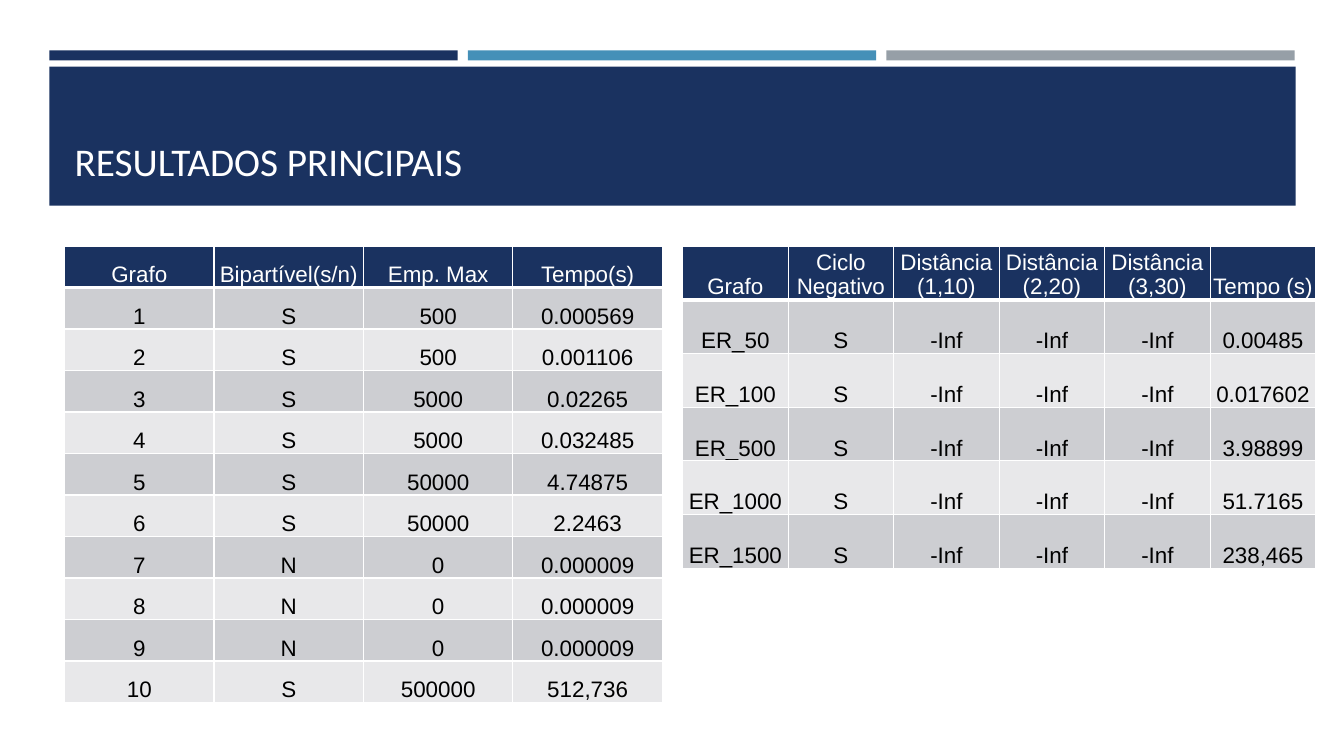
"""Build the "Resultados principais" slide with its two result tables."""
from dataclasses import dataclass

import pptx
import pptx.dml.color
import pptx.enum.shapes
import pptx.enum.text
import pptx.oxml
import pptx.oxml.ns
import pptx.presentation
import pptx.slide
import pptx.table
import pptx.text.text
import pptx.util

Inches = pptx.util.Inches
Align = pptx.enum.text.PP_ALIGN
Anchor = pptx.enum.text.MSO_ANCHOR

COLORS = {
    "navy": "1A3260",
    "blue": "4590B8",
    "gray": "969FA7",
    "odd_row": "CDCED2",
    "even_row": "E8E8EA",
    "white": "FFFFFF",
    "black": "000000",
}


@dataclass(frozen=True)
class Bar:
    left: float
    top: float
    width: float
    height: float
    color: str


@dataclass(frozen=True)
class ResultTable:
    left: float
    width: float
    height: float
    rows: list[list[str]]


BAND = Bar(0.49, 0.66, 12.36, 1.38, "navy")
STRIPE_WIDTH, STRIPE_STEP = 4.05, 4.15
STRIPES = [
    Bar(BAND.left + index * STRIPE_STEP, 0.5, STRIPE_WIDTH, 0.1, color)
    for index, color in enumerate(["navy", "blue", "gray"])
]

TABLE_TOP = 2.44
BIPARTITE = ResultTable(0.64, 5.93, 4.53, [
    ["Grafo", "Bipartível(s/n)", "Emp. Max", "Tempo(s)"],
    ["1", "S", "500", "0.000569"],
    ["2", "S", "500", "0.001106"],
    ["3", "S", "5000", "0.02265"],
    ["4", "S", "5000", "0.032485"],
    ["5", "S", "50000", "4.74875"],
    ["6", "S", "50000", "2.2463"],
    ["7", "N", "0", "0.000009"],
    ["8", "N", "0", "0.000009"],
    ["9", "N", "0", "0.000009"],
    ["10", "S", "500000", "512,736"],
])
DISTANCE_TIMES = {
    "ER_50": "0.00485",
    "ER_100": "0.017602",
    "ER_500": "3.98899",
    "ER_1000": "51.7165",
    "ER_1500": "238,465",
}
DISTANCES = ResultTable(6.77, 6.28, 3.2, [
    ["Grafo", "Ciclo Negativo", "Distância\n(1,10)", "Distância\n(2,20)",
     "Distância\n(3,30)", "Tempo (s)"],
    *([graph, "S", *["-Inf"] * 3, time] for graph, time in DISTANCE_TIMES.items()),
])


def rgb(name: str) -> pptx.dml.color.RGBColor:
    """Return the named colour."""
    return pptx.dml.color.RGBColor.from_string(COLORS[name])


def write_text(frame: pptx.text.text.TextFrame, text: str, *, font: str, size: int,
               color: str, align: Align) -> None:
    """Write text in a frame, one paragraph per line, with one format."""
    frame.text = text
    for paragraph in frame.paragraphs:
        paragraph.alignment = align
        for run in paragraph.runs:
            run.font.name = font
            run.font.size = pptx.util.Pt(size)
            run.font.color.rgb = rgb(color)


def draw_bar(slide: pptx.slide.Slide, bar: Bar) -> None:
    """Draw a plain filled rectangle."""
    shape = slide.shapes.add_shape(
        pptx.enum.shapes.MSO_SHAPE.RECTANGLE,
        Inches(bar.left), Inches(bar.top), Inches(bar.width), Inches(bar.height))
    shape.shadow.inherit = False
    shape.fill.solid()
    shape.fill.fore_color.rgb = rgb(bar.color)
    shape.line.fill.background()


def set_borders(cell: pptx.table._Cell, widths: dict[str, int]) -> None:
    """Give a cell white borders, with widths in points by side."""
    properties = cell._tc.get_or_add_tcPr()
    for side, width in widths.items():
        properties.append(pptx.oxml.parse_xml(
            f'<a:ln{side} {pptx.oxml.ns.nsdecls("a")} w="{pptx.util.Pt(width)}">'
            f'<a:solidFill><a:srgbClr val="{COLORS["white"]}"/></a:solidFill>'
            f'</a:ln{side}>'))


def format_cell(cell: pptx.table._Cell, text: str, row_index: int) -> None:
    """Fill in a cell as part of the header or of a banded row."""
    is_header = row_index == 0
    set_borders(cell, {"L": 1, "R": 1, "T": 3 if row_index == 1 else 1,
                       "B": 3 if is_header else 1})
    cell.fill.solid()
    band = "odd_row" if row_index % 2 else "even_row"
    cell.fill.fore_color.rgb = rgb("navy" if is_header else band)
    cell.margin_left = cell.margin_right = cell.margin_top = Inches(0.01)
    cell.margin_bottom = 0
    cell.vertical_anchor = Anchor.BOTTOM
    write_text(cell.text_frame, text, font="Arial", size=16,
               color="white" if is_header else "black", align=Align.CENTER)


def draw_table(slide: pptx.slide.Slide, result: ResultTable) -> None:
    """Draw a result table with equal columns and equal rows."""
    row_count, column_count = len(result.rows), len(result.rows[0])
    table = slide.shapes.add_table(
        row_count, column_count, Inches(result.left), Inches(TABLE_TOP),
        Inches(result.width), Inches(result.height)).table
    for column in table.columns:
        column.width = Inches(result.width / column_count)
    for row_index, values in enumerate(result.rows):
        table.rows[row_index].height = Inches(result.height / row_count)
        for column_index, text in enumerate(values):
            format_cell(table.cell(row_index, column_index), text, row_index)


def draw_title(slide: pptx.slide.Slide, text: str) -> None:
    """Place the title placeholder in front of the band."""
    title = slide.shapes.title
    title.left, title.top = Inches(0.64), Inches(0.8)
    title.width, title.height = Inches(12.06), Inches(1.08)
    frame = title.text_frame
    frame.auto_size = pptx.enum.text.MSO_AUTO_SIZE.NONE
    frame.word_wrap = True
    frame.vertical_anchor = Anchor.BOTTOM
    write_text(frame, text, font="Calibri", size=28, color="white", align=Align.LEFT)
    title.element.getparent().append(title.element)


def main() -> None:
    """Build and save the presentation."""
    presentation = pptx.Presentation()
    presentation.slide_width, presentation.slide_height = Inches(13.33), Inches(7.5)
    slide = presentation.slides.add_slide(
        presentation.slide_layouts.get_by_name("Title Only"))
    for bar in [*STRIPES, BAND]:
        draw_bar(slide, bar)
    draw_title(slide, "RESULTADOS PRINCIPAIS")
    for result in [DISTANCES, BIPARTITE]:
        draw_table(slide, result)
    presentation.save("out.pptx")


main()
